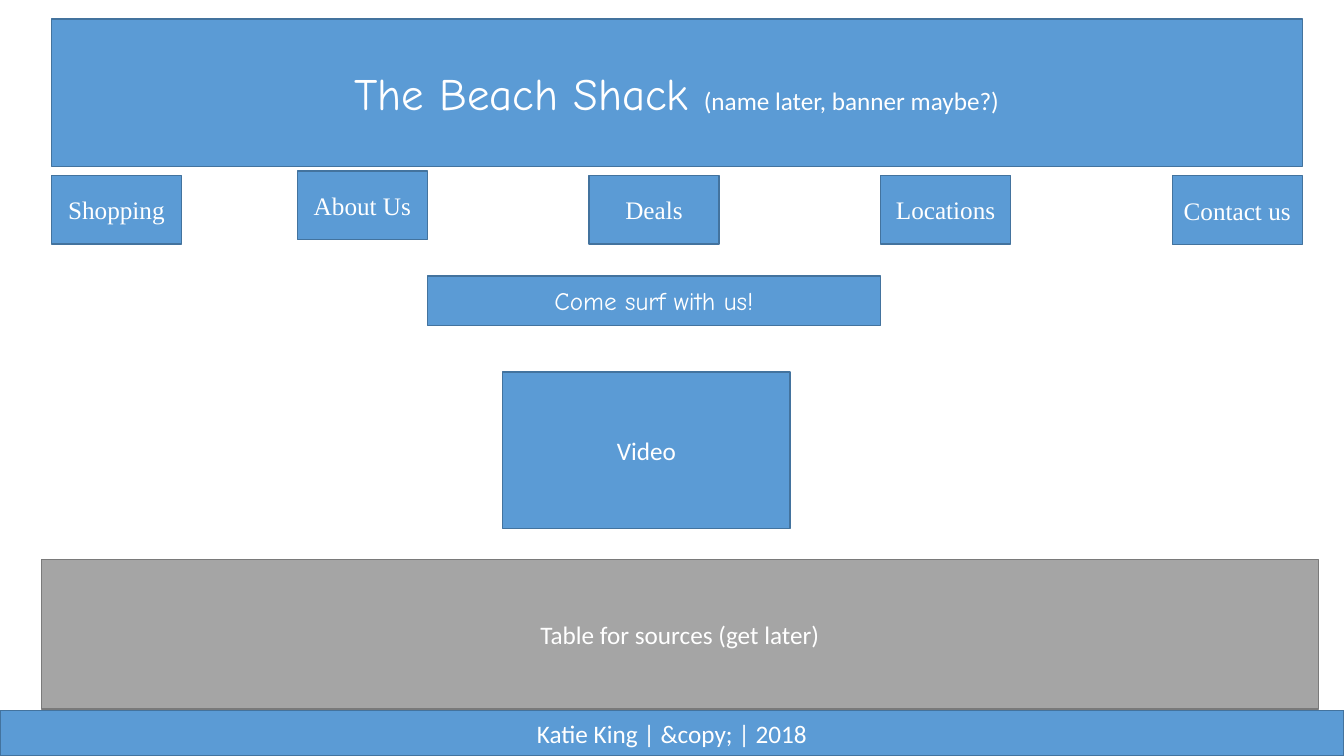
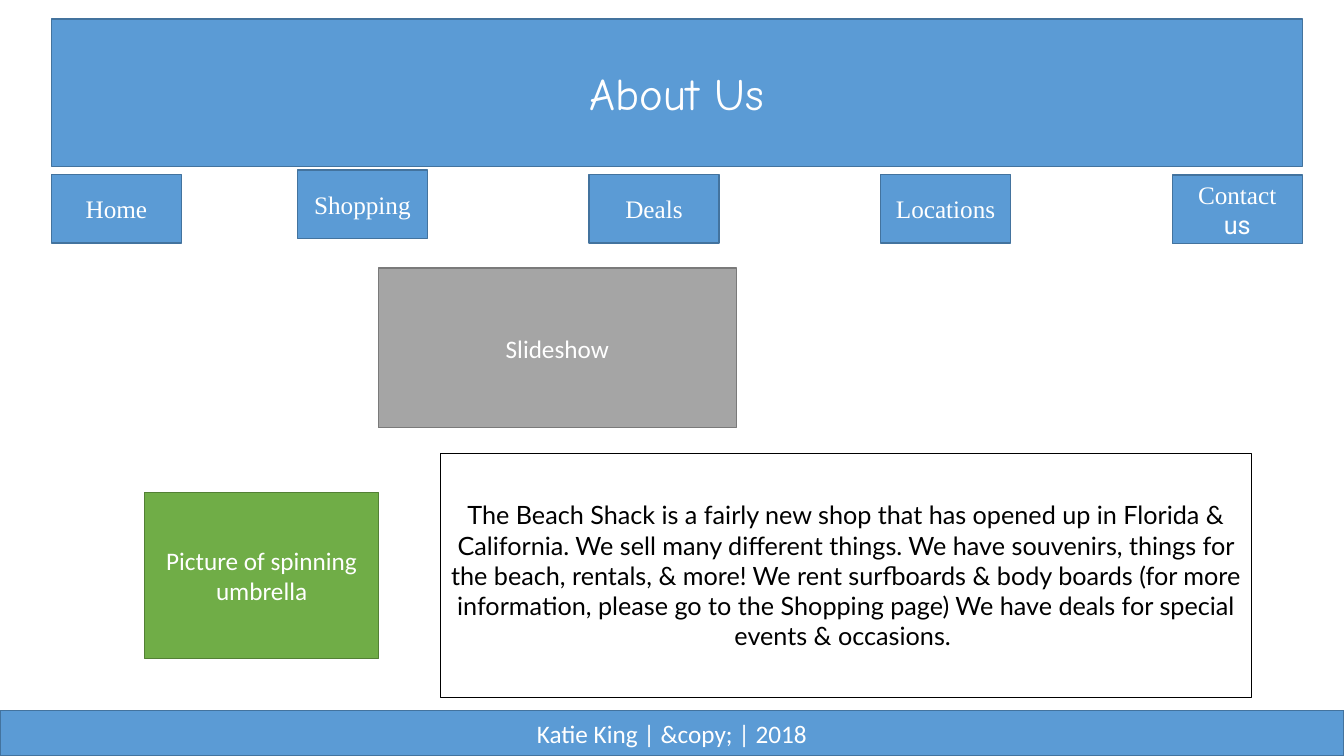
from pptx import Presentation
from pptx.dml.color import RGBColor
from pptx.enum.shapes import MSO_SHAPE
from pptx.enum.text import MSO_ANCHOR, PP_ALIGN
from pptx.util import Pt

RECTANGLE = MSO_SHAPE.RECTANGLE
MIDDLE = MSO_ANCHOR.MIDDLE
CENTER = PP_ALIGN.CENTER

WHITE = RGBColor(0xFF, 0xFF, 0xFF)
BLACK = RGBColor(0x00, 0x00, 0x00)
BLUE = (RGBColor(0x5B, 0x9B, 0xD5), RGBColor(0x43, 0x73, 0x9E))
GRAY = (RGBColor(0xA5, 0xA5, 0xA5), RGBColor(0x7A, 0x7A, 0x7A))
GREEN = (RGBColor(0x70, 0xAD, 0x47), RGBColor(0x53, 0x80, 0x35))
OUTLINED = (WHITE, BLACK)

BODY_FONT = "Calibri"
DISPLAY_FONT = "Comic Neue"
BUTTON_FONT = "Times New Roman"
TEXT_FONT = "Lato"
ACCENT_FONT = "Roboto"

SLIDE_WIDTH, SLIDE_HEIGHT = 960, 540
BANNER = (36.7, 13.7, 893.5, 105.1)
FOOTER = (0, 507.6, SLIDE_WIDTH, 32.4)
BUTTON_WIDTH, BUTTON_HEIGHT = 92.9, 49.1
BUTTON_STEP = 208.3
BUTTON_LEFTS = [36.7] + [212.4 + BUTTON_STEP * index for index in range(4)]
BUTTON_LIFTS = [0, 3, 0, 0, -0.4]


def add_text(paragraph, text, size=18, font=BODY_FONT, color=WHITE):
    run = paragraph.add_run()
    run.text = text
    run.font.size = Pt(size)
    run.font.name = font
    run.font.color.rgb = color


def add_box(shapes, bounds, text, colors=BLUE, **text_format):
    shape = shapes.add_shape(RECTANGLE, *[Pt(length) for length in bounds])
    shape.shadow.inherit = False
    fill_color, line_color = colors
    shape.fill.solid()
    shape.fill.fore_color.rgb = fill_color
    shape.line.color.rgb = line_color
    shape.line.width = Pt(1)
    shape.text_frame.word_wrap = True
    shape.text_frame.vertical_anchor = MIDDLE
    paragraph = shape.text_frame.paragraphs[0]
    paragraph.alignment = CENTER
    add_text(paragraph, text, **text_format)
    return paragraph


presentation = Presentation()
presentation.slide_width = Pt(SLIDE_WIDTH)
presentation.slide_height = Pt(SLIDE_HEIGHT)
blank_layout = presentation.slide_layouts[6]
home = presentation.slides.add_slide(blank_layout).shapes
about = presentation.slides.add_slide(blank_layout).shapes

pages = [
    (home, home, "The Beach Shack ", 125.2,
     ["Shopping", "About Us", "Deals", "Locations", "Contact us"]),
    (about, about.add_group_shape().shapes, "About Us", 124.5,
     ["Home", "Shopping", "Deals", "Locations", "Contact"]),
]
titles = []
last_buttons = []
for shapes, button_shapes, title, button_top, labels in pages:
    titles.append(add_box(shapes, BANNER, title, size=32, font=DISPLAY_FONT))
    for label, left, lift in zip(labels, BUTTON_LEFTS, BUTTON_LIFTS):
        bounds = (left, button_top - lift, BUTTON_WIDTH, BUTTON_HEIGHT)
        button = add_box(button_shapes, bounds, label, font=BUTTON_FONT)
    last_buttons.append(button)
    add_box(shapes, FOOTER, "Katie King | &copy; | 2018")

add_text(titles[0], "(name later, banner maybe?)")
add_text(last_buttons[1], " us", font=ACCENT_FONT)

add_box(home, (29.5, 399.8, 912.2, 106.8), "Table for sources (get later)", GRAY)
add_box(home, (359, 265.6, 205.4, 111.8), "Video")
add_box(home, (305.3, 197, 323.6, 35.4), "Come surf with us!", font=DISPLAY_FONT)

add_box(
    about, (314.6, 323.8, 579.4, 174.4),
    "The Beach Shack is a fairly new shop that has opened up in Florida & "
    "California. We sell many different things. We have souvenirs, things for "
    "the beach, rentals, & more! We rent surfboards & body boards (for more "
    "information, please go to the Shopping page) We have deals for special "
    "events & occasions. ",
    OUTLINED, font=TEXT_FONT, color=BLACK)
add_box(about, (103.3, 351.8, 167.2, 118.6), "Picture of spinning umbrella", GREEN)
add_box(about, (270.2, 191.6, 255.8, 114), "Slideshow", GRAY)

presentation.save("out.pptx")
